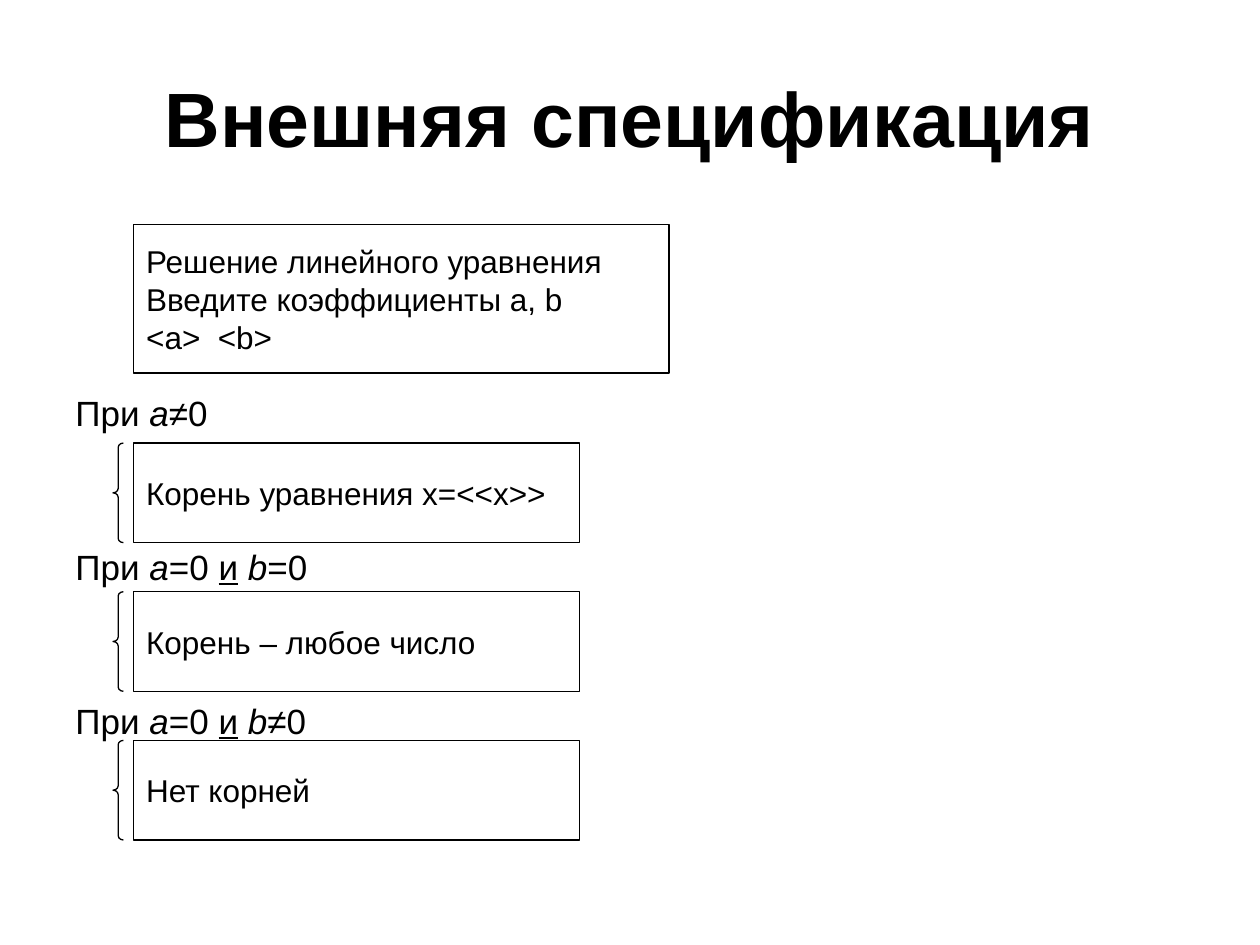
import pptx
import pptx.util
import pptx.dml.color
import pptx.enum.shapes
import pptx.enum.text

Pt = pptx.util.Pt
Kind = pptx.enum.shapes.MSO_SHAPE
Align = pptx.enum.text.PP_ALIGN
Anchor = pptx.enum.text.MSO_ANCHOR
unit = pptx.util.Inches(1.18)

deck = pptx.Presentation()
deck.slide_width = pptx.util.Inches(10)
deck.slide_height = pptx.util.Inches(7.5)
wide, high = deck.slide_width, deck.slide_height
slide = deck.slides.add_slide(deck.slide_layouts[6])


def color(code):
    return pptx.dml.color.RGBColor.from_string(code)


def style(font, size):
    font.name = "Arial"
    font.size = Pt(size)
    font.color.rgb = color("000000")


title = slide.shapes.add_textbox(
    int(0.05 * wide), int(0.04 * high), int(0.9 * wide), int(high / 6))
frame = title.text_frame
frame.word_wrap = True
frame.vertical_anchor = Anchor.MIDDLE
frame.text = "Внешняя спецификация"
frame.paragraphs[0].alignment = Align.CENTER
run = frame.paragraphs[0].runs[0]
style(run.font, 44)
run.font.bold = True

cases = [
    ["При ", "a", "≠0"],
    ["При ", "a", "=0 ", "и", " ", "b", "=0"],
    ["При ", "a", "=0 ", "и", " ", "b", "≠0"],
]
body = slide.shapes.add_textbox(
    int(0.05 * wide), int(1.51 * unit), int(0.9 * wide), int(0.66 * high))
frame = body.text_frame
frame.word_wrap = True
frame.margin_top = int(1.12 * unit)
for row, parts in enumerate(cases):
    line = frame.add_paragraph() if row else frame.paragraphs[0]
    if row:
        line.space_before = Pt(64)
    for part in parts:
        run = line.add_run()
        run.text = part
        style(run.font, 20)
        if part in ("a", "b"):
            run.font.italic = True
        if part == "и":
            run.font.underline = True

panels = [
    (1.51, 3.6, 1, "Решение линейного уравнения\nВведите коэффициенты a, b\n<a>  <b>"),
    (2.98, 3, 0.67, "Корень уравнения x=<<x>>"),
    (3.98, 3, 0.67, "Корень – любое число"),
    (4.98, 3, 0.67, "Нет корней"),
]
for top, width, height, words in panels:
    box = slide.shapes.add_shape(
        Kind.RECTANGLE, int(0.9 * unit), int(top * unit), int(width * unit), int(height * unit))
    box.shadow.inherit = False
    box.fill.solid()
    box.fill.fore_color.rgb = color("FFFFFF")
    box.line.color.rgb = color("000000")
    box.line.width = Pt(0.75)
    frame = box.text_frame
    frame.word_wrap = False
    frame.vertical_anchor = Anchor.MIDDLE
    frame.text = words
    for line in frame.paragraphs:
        line.alignment = Align.LEFT
        style(line.runs[0].font, 18)

for top, width, height, words in panels[1:]:
    brace = slide.shapes.add_shape(
        Kind.LEFT_BRACE, int(0.76 * unit), int(top * unit), int(0.07 * unit), int(height * unit))
    brace.shadow.inherit = False
    brace.adjustments[0] = 0.42
    brace.fill.background()
    brace.line.color.rgb = color("000000")
    brace.line.width = Pt(0.75)

deck.save("out.pptx")
